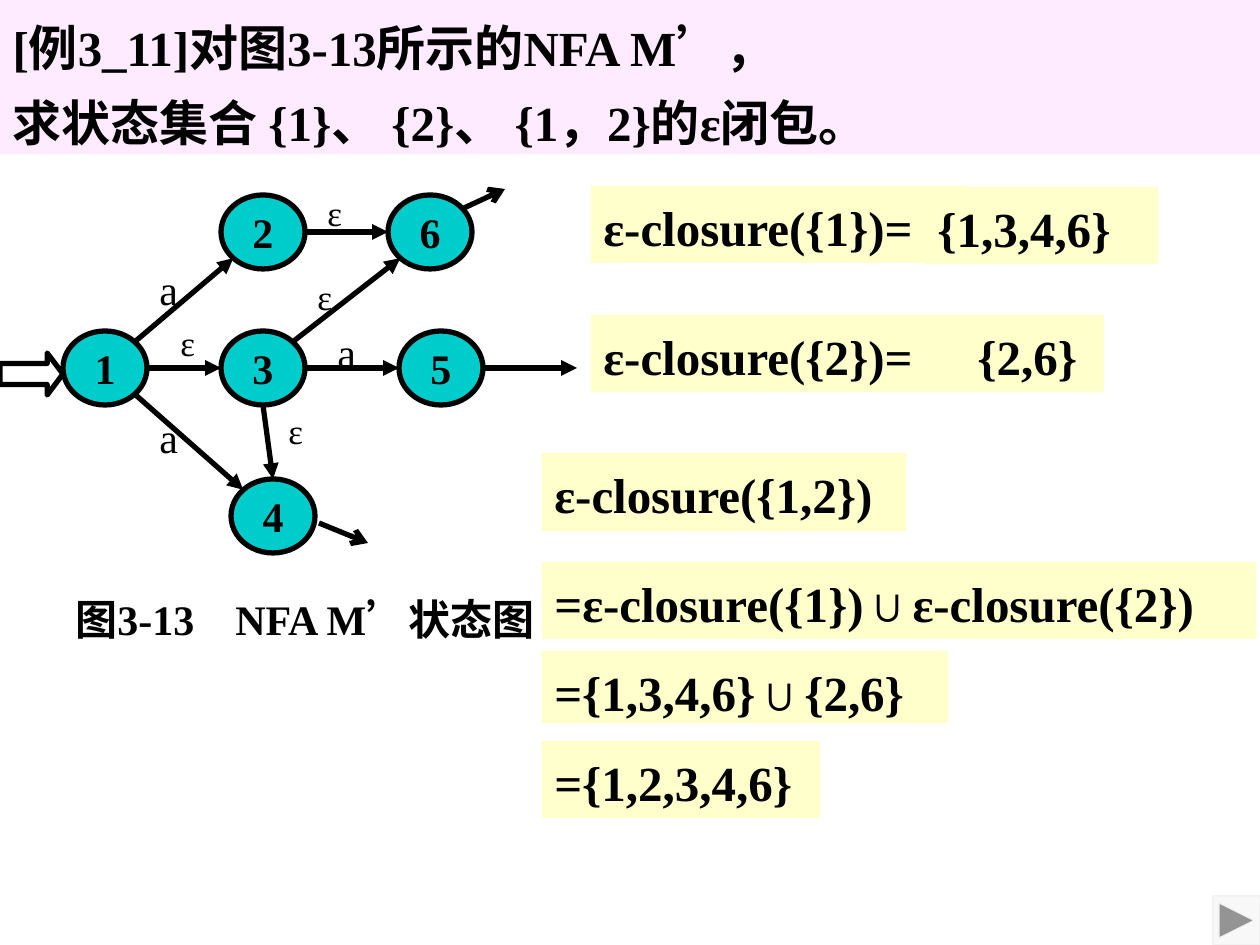
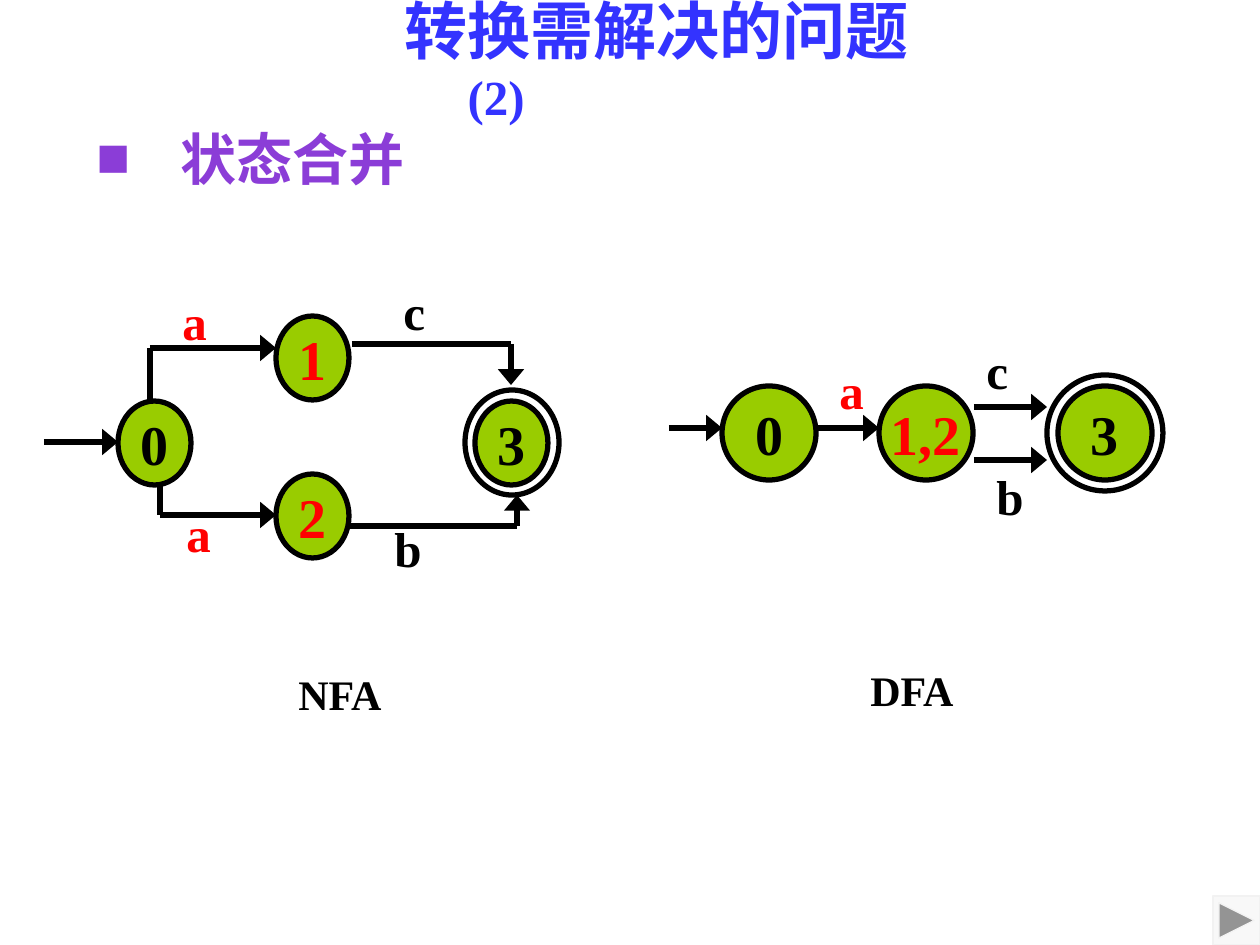
from math import cos, radians, sin

from lxml import etree
from pptx import Presentation
from pptx.dml.color import RGBColor
from pptx.enum.shapes import MSO_CONNECTOR, MSO_SHAPE
from pptx.enum.text import MSO_ANCHOR, MSO_AUTO_SIZE, PP_ALIGN
from pptx.oxml.ns import qn
from pptx.util import Emu, Pt

EMU_PER_PX = 914400 / 126
LATIN_FONT = "Times New Roman"
CHINESE_FONT = "Noto Sans CJK SC"
BLACK, RED, BLUE, PURPLE = "000000", "FF0000", "3333FF", "8B3DD7"
BAND, ANSWER, TEAL, GREEN = "FFEBFF", "FFFFCC", "00CCCC", "99CC00"
EAST, SOUTHEAST, SOUTH, SOUTHWEST = 0, 45, 90, 135
WEST, NORTHWEST, NORTH, NORTHEAST = 180, 225, 270, 315


def px(length):
    return Emu(round(length * EMU_PER_PX))


def color(hex_text):
    return RGBColor.from_string(hex_text)


def add_element(parent, tag, **attributes):
    return etree.SubElement(parent, qn(tag), attributes)


def add_run(paragraph, text, size, ink=BLACK, bold=True, font=LATIN_FONT):
    run = paragraph.add_run()
    run.text = text
    run.font.size = Pt(size)
    run.font.bold = bold
    run.font.name = font
    run.font.color.rgb = color(ink)
    add_element(run.font._element, "a:ea", typeface=CHINESE_FONT)


def place(shape, box):
    shape.left, shape.top, shape.width, shape.height = map(px, box)


def prepare_frame(shape, anchor=MSO_ANCHOR.TOP, wrap=True, margin_top=6):
    """Set up the text frame and return its first paragraph, aligned left."""
    frame = shape.text_frame
    frame.auto_size = MSO_AUTO_SIZE.NONE
    frame.word_wrap = wrap
    frame.vertical_anchor = anchor
    frame.margin_top = px(margin_top)
    paragraph = frame.paragraphs[0]
    paragraph.alignment = PP_ALIGN.LEFT
    return paragraph


def hang(paragraph, length):
    properties = paragraph._p.get_or_add_pPr()
    properties.set("marL", str(px(length)))
    properties.set("indent", str(-px(length)))
    return properties


def add_title(slide, box, margin_top):
    title = slide.shapes.title
    place(title, box)
    return title, prepare_frame(title, margin_top=margin_top)


def add_shape(slide, kind, box, fill=None, line=None, line_width=3):
    shape = slide.shapes.add_shape(kind, *map(px, box))
    shape.shadow.inherit = False
    if fill:
        shape.fill.solid()
        shape.fill.fore_color.rgb = color(fill)
    else:
        shape.fill.background()
    if line:
        shape.line.color.rgb = color(line)
        shape.line.width = Pt(line_width)
    else:
        shape.line.fill.background()
    return shape


def add_text(slide, box, text, size, ink=BLACK, bold=True, font=LATIN_FONT):
    text_box = slide.shapes.add_textbox(*map(px, box))
    paragraph = prepare_frame(text_box)
    add_run(paragraph, text, size, ink, bold, font)
    return paragraph


def add_answer(slide, box, text):
    panel = add_shape(slide, MSO_SHAPE.RECTANGLE, box, ANSWER)
    paragraph = prepare_frame(panel)
    paragraph.line_spacing = 1.1
    add_run(paragraph, text, 28)


def add_state(slide, box, name, fill, size, ink=BLACK):
    state = add_shape(slide, MSO_SHAPE.OVAL, box, fill, BLACK)
    paragraph = prepare_frame(state, MSO_ANCHOR.MIDDLE, wrap=False)
    paragraph.alignment = PP_ALIGN.CENTER
    add_run(paragraph, name, size, ink)


def add_ring(slide, box):
    add_shape(slide, MSO_SHAPE.OVAL, box, None, BLACK)


def rim(box, angle):
    """Point on the ellipse in box, clockwise from east."""
    left, top, width, height = box
    return (left + width / 2 * (1 + cos(radians(angle))),
            top + height / 2 * (1 + sin(radians(angle))))


def add_line(slide, start, end, head=None, head_width="med"):
    line = slide.shapes.add_connector(MSO_CONNECTOR.STRAIGHT, *map(px, start + end))
    line.line.color.rgb = color(BLACK)
    line.line.width = Pt(3)
    if head:
        add_element(line.line._get_or_add_ln(), "a:tailEnd", type=head, w=head_width, len="med")
    add_element(line._element.spPr, "a:effectLst")


def add_route(slide, *points):
    """Chain of lines with a wide arrowhead on the last."""
    for start, end in zip(points[:-2], points[1:-1]):
        add_line(slide, start, end)
    add_line(slide, points[-2], points[-1], "triangle", "lg")


def add_next_button(slide):
    add_shape(slide, MSO_SHAPE.ACTION_BUTTON_FORWARD_OR_NEXT,
              (1213, 896, 47, 49), "F8F8F8", "F2F2F2", 0.75)


def draw_closure_automaton(slide):
    corners = {"1": (63, 331), "4": (231, 479), "3": (221, 331),
               "2": (221, 195), "6": (388, 195), "5": (399, 331)}
    states = {name: corner + (84, 74) for name, corner in corners.items()}
    for name, box in states.items():
        add_state(slide, box, name, TEAL, 24)

    for source, source_side, target, target_side in [
        ("1", EAST, "3", WEST), ("1", NORTHEAST, "2", SOUTHWEST),
        ("1", SOUTHEAST, "4", NORTHWEST), ("3", EAST, "5", WEST),
        ("3", NORTHEAST, "6", SOUTHWEST), ("2", EAST, "6", WEST),
        ("3", SOUTH, "4", NORTH),
    ]:
        add_line(slide, rim(states[source], source_side),
                 rim(states[target], target_side), "triangle")

    for left, top in [(325, 321), (147, 406), (147, 258)]:
        add_text(slide, (left, top, 42, 63), "a", 24, bold=False)
    for left, top in [(315, 185), (168, 315), (276, 403), (305, 269)]:
        add_text(slide, (left, top, 53, 54), "ε", 20, bold=False)

    start_arrow = add_shape(slide, MSO_SHAPE.RIGHT_ARROW, (0, 353, 63, 42), None, BLACK)
    start_arrow.adjustments[0] = 0.5
    start_arrow.adjustments[1] = 0.375
    add_line(slide, (464, 208), (505, 189), "arrow")
    add_line(slide, (319, 523), (368, 543), "arrow")
    add_line(slide, rim(states["5"], EAST), (577, 368), "triangle")


def build_closure_slide(presentation):
    slide = presentation.slides.add_slide(presentation.slide_layouts[5])
    title, paragraph = add_title(slide, (0, 0, 1260, 154), 1)
    title.fill.solid()
    title.fill.fore_color.rgb = color(BAND)
    add_run(paragraph, "[例3_11]对图3-13所示的NFA M’，", 28)
    second = title.text_frame.add_paragraph()
    second.alignment = PP_ALIGN.LEFT
    add_run(second, "求状态集合 {1}、 {2}、 {1，2}的ε闭包。", 28)
    for line in (paragraph, second):
        line.line_spacing = Pt(43)

    for box, text in [
        ((591, 186, 377, 77), "ε-closure({1})="),
        ((925, 187, 233, 77), "{1,3,4,6}"),
        ((591, 315, 377, 77), "ε-closure({2})="),
        ((965, 315, 139, 77), "{2,6}"),
        ((542, 453, 364, 78), "ε-closure({1,2})"),
        ((542, 562, 714, 77), "=ε-closure({1})∪ε-closure({2})"),
        ((542, 651, 406, 72), "={1,3,4,6}∪{2,6}"),
        ((542, 741, 278, 77), "={1,2,3,4,6}"),
    ]:
        add_answer(slide, box, text)

    draw_closure_automaton(slide)
    caption = add_text(slide, (63, 588, 514, 64), "图3-13\tNFA M’状态图", 24)
    tabs = add_element(caption._p.get_or_add_pPr(), "a:tabLst")
    add_element(tabs, "a:tab", pos=str(px(160)), algn="l")
    add_next_button(slide)


def draw_nfa(slide):
    for name, left, top, ink in [("0", 118, 401, BLACK), ("1", 276, 316, RED),
                                 ("2", 276, 474, RED), ("3", 475, 401, BLACK)]:
        add_state(slide, (left, top, 73, 84), name, GREEN, 32, ink)
    add_ring(slide, (465, 390, 94, 105))
    add_route(slide, (44, 442), (118, 442))
    add_route(slide, (150, 401), (150, 348), (276, 348))
    add_route(slide, (160, 484), (160, 515), (276, 515))
    add_route(slide, (352, 344), (511, 344), (511, 385))
    add_route(slide, (349, 526), (517, 526), (517, 495))
    for text, left, top, ink in [("a", 170, 285, RED), ("a", 174, 497, RED),
                                 ("b", 382, 512, BLACK), ("c", 391, 275, BLACK)]:
        add_text(slide, (left, top, 62, 72), text, 28, ink)
    add_text(slide, (286, 663, 158, 63), "NFA", 24)


def draw_dfa(slide):
    for name, left, ink in [("0", 722, BLACK), ("1,2", 879, RED), ("3", 1058, BLACK)]:
        add_state(slide, (left, 386, 94, 94), name, GREEN, 32, ink)
    add_ring(slide, (1047, 375, 116, 116))
    for start, end, y in [(669, 722, 428), (816, 879, 428),
                          (974, 1047, 407), (974, 1047, 460)]:
        add_route(slide, (start, y), (end, y))
    for text, left, top, ink in [("a", 827, 354, RED), ("b", 984, 460, BLACK),
                                 ("c", 974, 334, BLACK)]:
        add_text(slide, (left, top, 62, 72), text, 28, ink)
    add_text(slide, (858, 659, 168, 63), "DFA", 24)


def build_merging_slide(presentation):
    slide = presentation.slides.add_slide(presentation.slide_layouts[5])
    _, paragraph = add_title(slide, (392, -9, 565, 146), 0)
    hang(paragraph, 63)
    add_run(paragraph, "转换需解决的问题", 36, BLUE, font=CHINESE_FONT)
    add_run(paragraph, "(2)", 28, BLUE)

    bullet = add_text(slide, (84, 118, 1071, 95), "状态合并", 32, PURPLE, font=CHINESE_FONT)
    properties = hang(bullet, 84)
    add_element(properties, "a:buFont", typeface=LATIN_FONT)
    add_element(properties, "a:buChar", char="■")

    draw_nfa(slide)
    draw_dfa(slide)
    add_next_button(slide)


def main():
    presentation = Presentation()
    presentation.slide_width = px(1260)
    presentation.slide_height = px(945)
    build_closure_slide(presentation)
    build_merging_slide(presentation)
    presentation.save("out.pptx")


if __name__ == "__main__":
    main()
